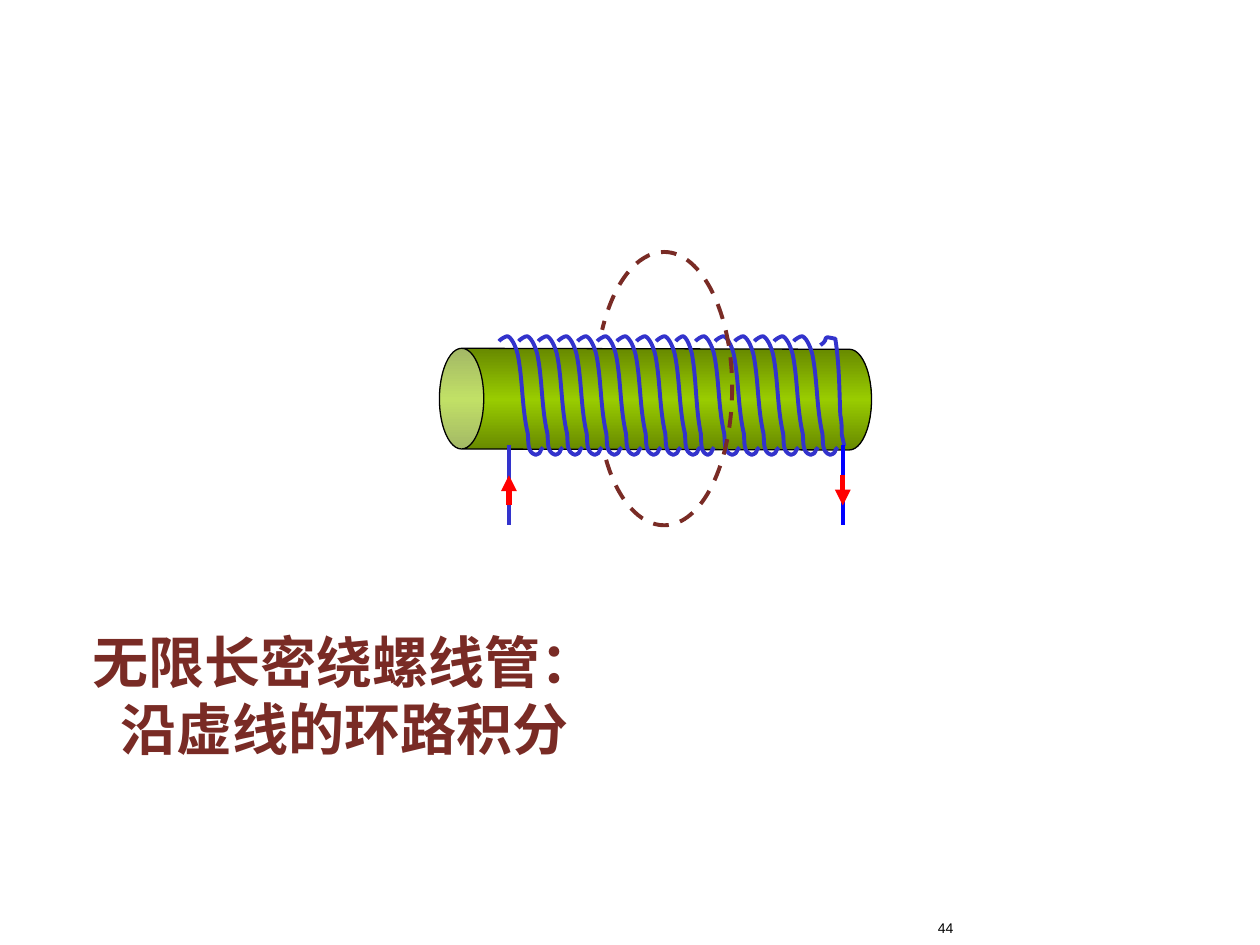
"""Build a slide showing a long solenoid with a dashed integration loop."""
import copy

import lxml.etree
import pptx
import pptx.dml.color
import pptx.enum.dml
import pptx.enum.shapes
import pptx.enum.text
import pptx.oxml.ns
import pptx.util
from pptx.util import Cm

RGBColor = pptx.dml.color.RGBColor
BLACK = RGBColor(0x00, 0x00, 0x00)
BROWN = RGBColor(0x79, 0x2B, 0x25)
COIL_BLUE = RGBColor(0x33, 0x33, 0xCC)
LEAD_BLUE = RGBColor(0x00, 0x00, 0xFF)
RED = RGBColor(0xFF, 0x00, 0x00)
GREEN = RGBColor(0x99, 0xCC, 0x00)
qn = pptx.oxml.ns.qn


def draw_curve(shapes, points, color):
    """Draw an open curve through cubic segments given as points in centimetres."""
    places = [(Cm(x), Cm(y)) for x, y in points]
    builder = shapes.build_freeform(*places[0])
    builder.add_line_segments(places[1:], close=False)
    curve = builder.convert_to_shape()
    lines = list(curve._element.iter(qn("a:lnTo")))
    for first in range(0, len(lines), 3):
        segment = lxml.etree.Element(qn("a:cubicBezTo"))
        lines[first].addprevious(segment)
        for line in lines[first:first + 3]:
            segment.append(line[0])
            line.getparent().remove(line)
    curve.shadow.inherit = False
    curve.fill.background()
    curve.line.color.rgb = color
    curve.line.width = pptx.util.Pt(2.25)
    return curve


def add_label(page, frame, text, font_name, size, color, alignment):
    """Add a wrapped text box and return it."""
    box = page.shapes.add_textbox(*(Cm(value) for value in frame))
    box.text_frame.word_wrap = True
    box.text_frame.text = text
    para = box.text_frame.paragraphs[0]
    para.alignment = alignment
    span = para.runs[0]
    span.font.name = font_name
    span.font.size = pptx.util.Pt(size)
    span.font.color.rgb = color
    return box


deck = pptx.Presentation()
deck.slide_width = Cm(25.4)
deck.slide_height = Cm(19.05)
page = deck.slides.add_slide(deck.slide_layouts[6])

ALIGN = pptx.enum.text.PP_ALIGN
add_label(page, (17.13, 18.42, 2.34, 0.64), "44", "Arial", 8, BLACK, ALIGN.RIGHT)
title = add_label(page, (1.09, 12.63, 11.71, 2.74), "无限长密绕螺线管：沿虚线的环路积分",
                  "Times New Roman", 32, BROWN, ALIGN.CENTER)
title.text_frame.vertical_anchor = pptx.enum.text.MSO_ANCHOR.MIDDLE
title.text_frame.paragraphs[0].runs[0].font.bold = True

solenoid = page.shapes.add_group_shape().shapes
core = solenoid.add_shape(pptx.enum.shapes.MSO_SHAPE.CAN,
                          Cm(12.2), Cm(3.69), Cm(2.03), Cm(8.71))
core.rotation = 270.15
core.adjustments[0] = 0.44
core.shadow.inherit = False
core.line.color.rgb = BLACK
core.line.width = pptx.util.Pt(0.75)
core.fill.gradient()
core.fill.gradient_angle = 270
gradient = core._element.spPr.find(qn("a:gradFill"))
gradient.set("rotWithShape", "0")
stop_list = gradient.find(qn("a:gsLst"))
stop_list.insert(1, copy.deepcopy(stop_list[0]))
for stop, position in zip(core.fill.gradient_stops, (0, 0.5, 1)):
    stop.position = position
    stop.color.rgb = GREEN
for edge in (stop_list[0], stop_list[2]):
    for tag, attributes in (("a:gamma", {}), ("a:shade", {"val": "67451"}), ("a:invGamma", {})):
        lxml.etree.SubElement(edge[0], qn(tag), attributes)

TURN = [(0, 6.88), (0, 6.86), (0.15, 6.76), (0.18, 6.78),
        (0.28, 6.83), (0.36, 7.06), (0.38, 7.16),
        (0.48, 7.67), (0.46, 8.23), (0.58, 8.74),
        (0.6, 8.92), (0.56, 9.12), (0.74, 9.17),
        (0.89, 9.12), (0.79, 9.09), (0.89, 9.02)]
TURN_COUNT, NARROW_TURN = 16, 9
FIRST_TURN, LAST_TURN = 10.06, 16.0
pitch = (LAST_TURN - FIRST_TURN) / (TURN_COUNT - 1)
for number in range(TURN_COUNT):
    left = FIRST_TURN + number * pitch
    stretch = 0.87 if number == NARROW_TURN else 1
    draw_curve(solenoid, [(left + x * stretch, y) for x, y in TURN], COIL_BLUE)

draw_curve(solenoid, [(16.54, 6.96), (16.76, 6.81), (16.51, 6.76), (16.84, 6.83),
                      (16.92, 7.34), (16.92, 7.85), (16.94, 8.36),
                      (16.97, 8.51), (16.97, 8.64), (16.97, 8.76),
                      (16.99, 8.84), (17.02, 8.99), (17.02, 8.99)], COIL_BLUE)

LEFT_LEAD, RIGHT_LEAD = 10.26, 16.99
for x, start, end, color, width, arrow in (
        (LEFT_LEAD, 8.97, 10.59, COIL_BLUE, 2.25, None),
        (RIGHT_LEAD, 8.97, 10.59, LEAD_BLUE, 2.25, None),
        (LEFT_LEAD, 10.19, 9.58, RED, 3, "a:tailEnd"),
        (RIGHT_LEAD, 10.19, 9.58, RED, 3, "a:headEnd")):
    lead = solenoid.add_connector(pptx.enum.shapes.MSO_CONNECTOR.STRAIGHT,
                                  Cm(x), Cm(start), Cm(x), Cm(end))
    lead.line.color.rgb = color
    lead.line.width = pptx.util.Pt(width)
    properties = lead._element.spPr
    if arrow:
        lxml.etree.SubElement(properties.find(qn("a:ln")), qn(arrow), {"type": "triangle"})
    lxml.etree.SubElement(properties, qn("a:effectLst"))

loop = draw_curve(page.shapes, [(12.22, 9.27), (12.45, 10.08), (12.9, 10.59), (13.39, 10.59),
                                (14.15, 10.59), (14.76, 9.35), (14.76, 7.82),
                                (14.76, 6.32), (14.15, 5.08), (13.39, 5.08),
                                (12.85, 5.08), (12.37, 5.69), (12.14, 6.65)], BROWN)
loop.line.dash_style = pptx.enum.dml.MSO_LINE.DASH

deck.save("out.pptx")
